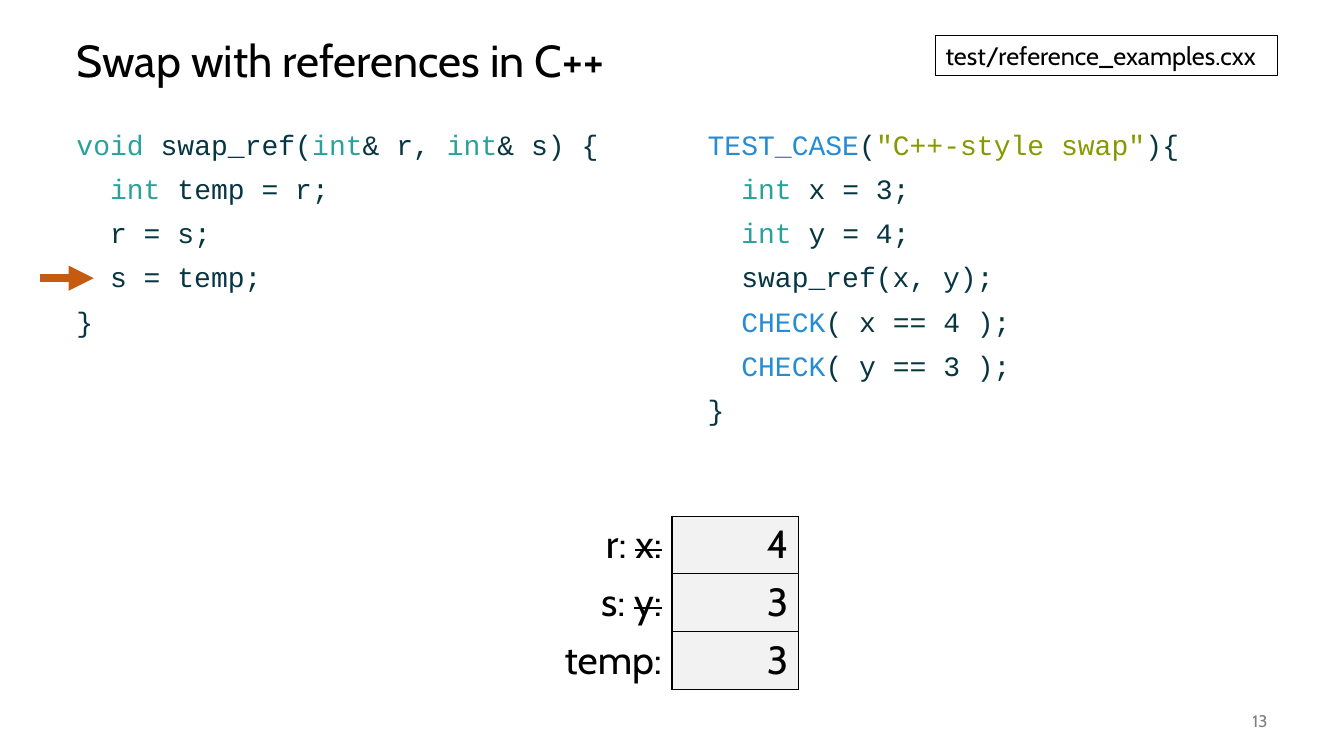
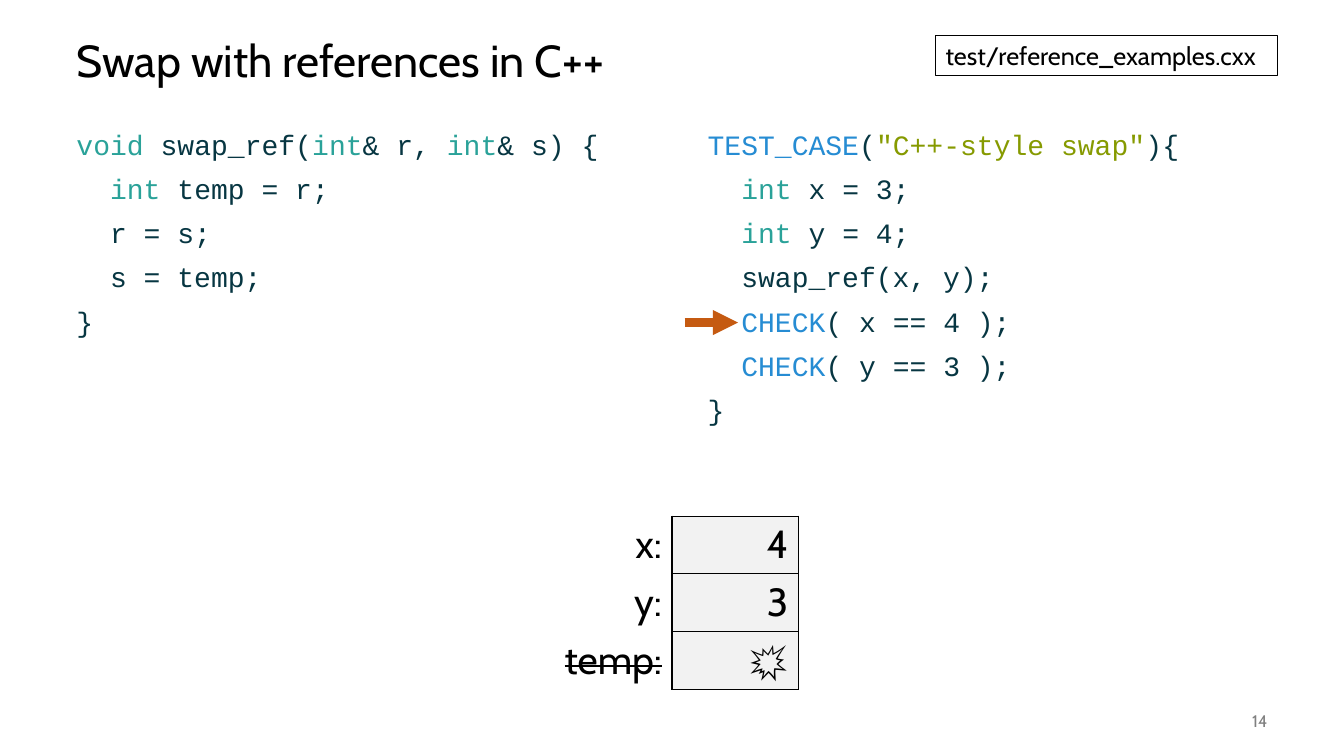
from lxml import etree
from pptx import Presentation
from pptx.dml.color import RGBColor
from pptx.enum.shapes import MSO_CONNECTOR, MSO_SHAPE
from pptx.enum.text import MSO_ANCHOR, MSO_AUTO_SIZE, PP_ALIGN
from pptx.oxml.ns import qn
from pptx.util import Inches, Pt

LEFT, RIGHT = PP_ALIGN.LEFT, PP_ALIGN.RIGHT
TOP, MIDDLE = MSO_ANCHOR.TOP, MSO_ANCHOR.MIDDLE
NO_AUTOFIT = MSO_AUTO_SIZE.NONE
RECTANGLE = MSO_SHAPE.RECTANGLE
STRAIGHT = MSO_CONNECTOR.STRAIGHT

BLACK = RGBColor(0x00, 0x00, 0x00)
GRAY = RGBColor(0x80, 0x80, 0x80)
CELL_FILL = RGBColor(0xF2, 0xF2, 0xF2)
ARROW_ORANGE = RGBColor(0xC5, 0x5A, 0x11)
CODE_BASE = RGBColor(0x07, 0x36, 0x42)
CODE_TYPE = RGBColor(0x2A, 0xA2, 0x99)
CODE_MACRO = RGBColor(0x26, 0x8C, 0xD3)
CODE_STRING = RGBColor(0x86, 0x9A, 0x00)

TEXT_FONT = "Cabin"
CODE_FONT = "Courier New"

# Shared geometry, in inches
MARGIN = 0.66
CODE_TOP, CODE_WIDTH, CODE_HEIGHT = 1.25, 5.75, 5.5
TEST_LEFT = 6.92
LINE_STEP = 0.44
FIRST_LINE_MIDDLE = 1.44
ARROW_LENGTH = 0.53

# Code lines as (text, colour) runs
SWAP_CODE = [
    [("void ", CODE_TYPE), ("swap_ref(", CODE_BASE), ("int", CODE_TYPE),
     ("& r, ", CODE_BASE), ("int", CODE_TYPE), ("& s) {", CODE_BASE)],
    [("  int ", CODE_TYPE), ("temp = r;", CODE_BASE)],
    [("  r = s;", CODE_BASE)],
    [("  s = temp;", CODE_BASE)],
    [("}", CODE_BASE)],
]
TEST_CODE = [
    [("TEST_CASE", CODE_MACRO), ("(", CODE_BASE),
     ("\"C++‑style swap\"", CODE_STRING), ("){", CODE_BASE)],
    [("  int ", CODE_TYPE), ("x = 3;", CODE_BASE)],
    [("  int ", CODE_TYPE), ("y = 4;", CODE_BASE)],
    [("  swap_ref(x, y);", CODE_BASE)],
    [("  CHECK", CODE_MACRO), ("( x == 4 );", CODE_BASE)],
    [("  CHECK", CODE_MACRO), ("( y == 3 );", CODE_BASE)],
    [("}", CODE_BASE)],
]

# Per slide: number, arrow left, code line pointed at,
# and memory rows of (label runs as (text, struck), value)
STEPS = [
    (13, 0.4, 3, [([("r: ", False), ("x:", True)], "4"),
                  ([("s: ", False), ("y:", True)], "3"),
                  ([("temp:", False)], "3")]),
    (14, 6.79, 4, [([("x:", False)], "4"),
                   ([("y:", False)], "3"),
                   ([("temp:", True)], "💥")]),
]


def add_run(paragraph, text, size, color=BLACK, font=TEXT_FONT, struck=False):
    run = paragraph.add_run()
    run.text = text
    run.font.size = Pt(size)
    run.font.name = font
    run.font.color.rgb = color
    if struck:
        run.font._element.set("strike", "sngStrike")


def prepare_frame(shape, anchor):
    frame = shape.text_frame
    frame.word_wrap = True
    frame.auto_size = NO_AUTOFIT
    frame.vertical_anchor = anchor
    return frame


def place_title(slide, left, top, width, height):
    title = slide.shapes.title
    title.left, title.top = Inches(left), Inches(top)
    title.width, title.height = Inches(width), Inches(height)
    paragraph = prepare_frame(title, MIDDLE).paragraphs[0]
    paragraph.alignment = LEFT
    paragraph.line_spacing = 0.9
    add_run(paragraph, "Swap with references in C++", 32)


def add_file_label(slide, left, top, width, height):
    label = slide.shapes.add_shape(RECTANGLE, Inches(left), Inches(top),
                                   Inches(width), Inches(height))
    label.shadow.inherit = False
    label.fill.background()
    label.line.color.rgb = BLACK
    label.line.width = Pt(0.75)
    paragraph = prepare_frame(label, TOP).paragraphs[0]
    paragraph.alignment = LEFT
    add_run(paragraph, "test/reference_examples.cxx", 18)


def add_page_number(slide, number, left, top, width, height):
    box = slide.shapes.add_textbox(Inches(left), Inches(top),
                                   Inches(width), Inches(height))
    paragraph = prepare_frame(box, MIDDLE).paragraphs[0]
    paragraph.alignment = RIGHT
    add_run(paragraph, str(number), 12, GRAY)


def add_code(slide, lines, left, top, width, height):
    box = slide.shapes.add_textbox(Inches(left), Inches(top),
                                   Inches(width), Inches(height))
    frame = prepare_frame(box, TOP)
    for index, line in enumerate(lines):
        paragraph = frame.add_paragraph() if index else frame.paragraphs[0]
        paragraph.line_spacing = 0.9
        paragraph.space_before = Pt(10 if index else 0)
        for text, color in line:
            add_run(paragraph, text, 20, color, CODE_FONT)


def set_borders(cell, visible):
    """Draw the named cell sides in black and clear the others."""
    properties = cell._tc.get_or_add_tcPr()
    for index, side in enumerate(("lnL", "lnR", "lnT", "lnB")):
        border = etree.Element(qn("a:" + side), w=str(Pt(1)))
        if side in visible:
            fill = etree.SubElement(border, qn("a:solidFill"))
            etree.SubElement(fill, qn("a:srgbClr"), val=str(BLACK))
        else:
            etree.SubElement(border, qn("a:noFill"))
        properties.insert(index, border)


def fill_cell(cell, runs):
    paragraph = cell.text_frame.paragraphs[0]
    paragraph.alignment = RIGHT
    for text, struck in runs:
        add_run(paragraph, text, 28, struck=struck)


def add_memory_table(slide, rows, left, top, width, height):
    table = slide.shapes.add_table(len(rows), 2, Inches(left), Inches(top),
                                   Inches(width), Inches(height)).table
    table.first_row = False
    table.horz_banding = False
    for row, (label_runs, value) in enumerate(rows):
        label, content = table.cell(row, 0), table.cell(row, 1)
        fill_cell(label, label_runs)
        label.fill.background()
        set_borders(label, ("lnR",))
        fill_cell(content, [(value, False)])
        content.fill.solid()
        content.fill.fore_color.rgb = CELL_FILL
        set_borders(content, ("lnL", "lnR", "lnT", "lnB"))


def add_step_arrow(slide, left, line_index):
    """Point at the code line with the given index."""
    middle = Inches(FIRST_LINE_MIDDLE + line_index * LINE_STEP)
    arrow = slide.shapes.add_connector(STRAIGHT, Inches(left), middle,
                                       Inches(left + ARROW_LENGTH), middle)
    arrow.line.color.rgb = ARROW_ORANGE
    arrow.line.width = Pt(6)
    etree.SubElement(arrow.line._get_or_add_ln(), qn("a:tailEnd"),
                     type="triangle")
    etree.SubElement(arrow._element.spPr, qn("a:effectLst"))


def add_step_slide(presentation, number, arrow_left, line_index, memory):
    slide = presentation.slides.add_slide(presentation.slide_layouts[5])
    place_title(slide, MARGIN, 0.25, 12, 0.75)
    # Function on the left, its test on the right
    for lines, left in ((SWAP_CODE, MARGIN), (TEST_CODE, TEST_LEFT)):
        add_code(slide, lines, left, CODE_TOP, CODE_WIDTH, CODE_HEIGHT)
    add_page_number(slide, number, 11.67, 6.95, 1, 0.4)
    # State of memory at this step
    add_memory_table(slide, memory, 5.41, 5.12, 2.51, 1.71)
    add_step_arrow(slide, arrow_left, line_index)
    add_file_label(slide, 9.28, 0.35, 3.39, 0.4)


def main():
    presentation = Presentation()
    presentation.slide_width = Inches(13.33)
    presentation.slide_height = Inches(7.5)
    for step in STEPS:
        add_step_slide(presentation, *step)
    presentation.save("out.pptx")


if __name__ == "__main__":
    main()
